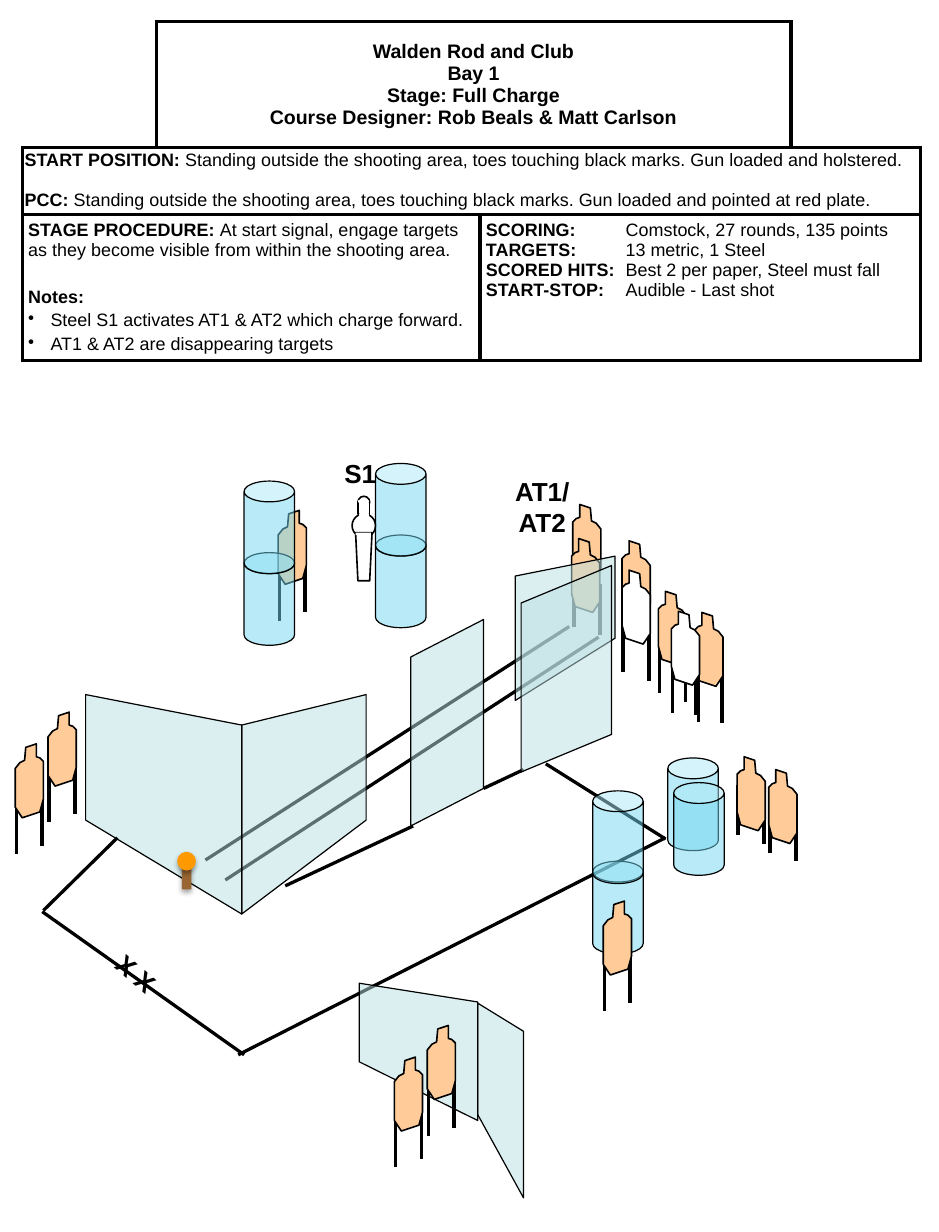
from dataclasses import dataclass
from typing import Optional

from lxml.etree import SubElement
from pptx import Presentation
from pptx.dml.color import RGBColor
from pptx.enum.shapes import MSO_CONNECTOR, MSO_SHAPE
from pptx.enum.text import MSO_ANCHOR, PP_ALIGN
from pptx.oxml.ns import qn
from pptx.util import Cm, Pt


@dataclass(frozen=True)
class Theme:
    font: str = "Arial"
    black: str = "000000"
    white: str = "FFFFFF"
    tan: str = "FFCC99"
    glass: str = "BBE0E3"
    drum: str = "73D9F1"
    post: str = "996633"
    plate: str = "FF9900"
    head: float = 12
    body: float = 11
    label: float = 16
    thin: float = 0.75
    edge: float = 1
    rail: float = 2
    thick: float = 2.25


@dataclass(frozen=True)
class Rail:
    start: tuple
    end: tuple


@dataclass(frozen=True)
class Wall:
    points: list


@dataclass(frozen=True)
class Target:
    x: float
    y: float
    flip: bool = False
    fill: str = Theme.tan
    drop: Optional[float] = 0.51  # top of the long leg; None means no legs


@dataclass(frozen=True)
class Drum:
    x: float
    y: float


@dataclass(frozen=True)
class Part:
    kind: MSO_SHAPE
    box: tuple
    fill: str
    line: Optional[str] = None


@dataclass(frozen=True)
class Label:
    text: str
    box: tuple
    align: PP_ALIGN = PP_ALIGN.CENTER
    turn: float = 0


T = Theme()
BODY = [(0.15, 0.03), (0.06, 0), (0.06, 0.11), (0.03, 0.12), (0, 0.15), (0, 0.47), (0.03, 0.58),
        (0.18, 0.63), (0.24, 0.54), (0.24, 0.21), (0.2, 0.16), (0.16, 0.14)]


def inch(value: float) -> int:
    return Cm(value * 2.54)


def paint(shape, fill: str, line: Optional[str] = T.black, width: float = T.edge, alpha: int = 100) -> None:
    shape.shadow.inherit = False
    shape.fill.solid()
    shape.fill.fore_color.rgb = RGBColor.from_string(fill)
    if alpha < 100:
        tint = shape._element.spPr.find(qn("a:solidFill"))[0]
        SubElement(tint, qn("a:alpha"), val=str(alpha * 1000))
    if line:
        shape.line.color.rgb = RGBColor.from_string(line)
        shape.line.width = Pt(width)
    else:
        shape.line.fill.background()


def draw_line(shapes, start: tuple, end: tuple, width: float) -> None:
    line = shapes.add_connector(MSO_CONNECTOR.STRAIGHT, *map(inch, start + end))
    line.line.color.rgb = RGBColor.from_string(T.black)
    line.line.width = Pt(width)
    SubElement(line._element.spPr, qn("a:effectLst"))


def draw_path(shapes, points: list):
    spots = [(inch(x), inch(y)) for x, y in points]
    pen = shapes.build_freeform(*spots[0])
    pen.add_line_segments(spots[1:], close=True)
    return pen.convert_to_shape()


def draw_rail(shapes, rail: Rail) -> None:
    draw_line(shapes, rail.start, rail.end, T.rail)


def draw_wall(shapes, wall: Wall) -> None:
    paint(draw_path(shapes, wall.points), T.glass, width=T.thin, alpha=50)


def draw_target(shapes, item: Target) -> None:
    def place(x: float, y: float) -> tuple:
        return item.x + (0.24 - x if item.flip else x), item.y + y

    group = shapes.add_group_shape().shapes
    if item.drop is not None:
        for x, top in ((0.23, item.drop), (0.01, item.drop - 0.07)):
            draw_line(group, place(x, top), place(x, top + 0.43), T.thick)
    paint(draw_path(group, [place(*p) for p in BODY]), item.fill)


def draw_drum(shapes, drum: Drum) -> None:
    can = shapes.add_shape(MSO_SHAPE.CAN, *map(inch, (drum.x, drum.y, 0.43, 0.79)))
    can.adjustments[0] = 0.413
    paint(can, T.drum, width=T.thin, alpha=50)


def draw_part(shapes, part: Part):
    shape = shapes.add_shape(part.kind, *map(inch, part.box))
    paint(shape, part.fill, part.line)
    return shape


def draw_steel(shapes) -> None:
    group = shapes.add_group_shape().shapes
    oval, rect = MSO_SHAPE.OVAL, MSO_SHAPE.RECTANGLE
    for box in ((3.05, 4.23, 0.1, 0.1), (3, 4.38, 0.2, 0.2)):
        draw_part(group, Part(oval, box, T.white, T.black))
    paint(draw_path(group, [(3.03, 4.54), (3.17, 4.54), (3.15, 4.95), (3.05, 4.95)]), T.white)
    for box, line in (((3.05, 4.28, 0.1, 0.1), T.black), ((3.03, 4.54, 0.13, 0.02), None),
                      ((3.07, 4.38, 0.07, 0.02), T.white), ((3.06, 4.27, 0.08, 0.01), T.white)):
        draw_part(group, Part(rect, box, T.white, line))


def draw_plate(shapes) -> None:
    group = shapes.add_group_shape().shapes
    for part in (Part(MSO_SHAPE.RECTANGLE, (1.55, 7.36, 0.08, 0.22), T.post),
                 Part(MSO_SHAPE.OVAL, (1.51, 7.26, 0.16, 0.16), T.plate)):
        spot = draw_part(group, part)._element.spPr.find(qn("a:effectLst"))
        cast = SubElement(spot, qn("a:outerShdw"), blurRad=str(Pt(3.1)), dist=str(Pt(1.8)),
                          dir="5400000", rotWithShape="0")
        SubElement(SubElement(cast, qn("a:srgbClr"), val=T.black), qn("a:alpha"), val="35000")


def add_run(para, text: str, size: float, bold: bool) -> None:
    run = para.add_run()
    run.text = text
    run.font.name, run.font.size, run.font.bold = T.font, Pt(size), bold
    run.font.color.rgb = RGBColor.from_string(T.black)


def draw_label(shapes, label: Label) -> None:
    box = shapes.add_textbox(*map(inch, label.box))
    box.rotation = label.turn
    box.text_frame.word_wrap = True
    para = box.text_frame.paragraphs[0]
    para.alignment = label.align
    add_run(para, label.text, T.label, True)


def fill_cell(cell, rows: list, gaps: list, pad: tuple = (0.05, 0.05)) -> list:
    """Write (bold, plain) rows into a cell, with a gap in points before each."""
    cell.margin_left = cell.margin_right = inch(pad[0])
    cell.margin_top = cell.margin_bottom = inch(pad[1])
    paras = [cell.text_frame.paragraphs[0]]
    paras += [cell.text_frame.add_paragraph() for _ in rows[1:]]
    for para, (bold, plain), gap in zip(paras, rows, gaps):
        if gap:
            para.space_before = Pt(gap)
        for text, strong in ((bold, True), (plain, False)):
            if text:
                add_run(para, text, T.body, strong)
    return paras


def draw_table(shapes) -> None:
    table = shapes.add_table(3, 4, *map(inch, (0.19, 0.18, 7.65, 2.89))).table
    table.first_row = table.horz_banding = False
    for col, width in zip(table.columns, (1.14, 2.76, 2.65, 1.1)):
        col.width = inch(width)
    for row, height in zip(table.rows, (1.08, 0.57, 1.24)):
        row.height = inch(height)
    # Borders come before the fill in each cell
    for r in range(3):
        for c in range(4):
            cell = table.cell(r, c)
            for side in {(0, 0): "RB", (0, 3): "LB"}.get((r, c), "LRTB"):
                line = SubElement(cell._tc.get_or_add_tcPr(), qn("a:ln" + side), w=str(Pt(T.thick)))
                SubElement(SubElement(line, qn("a:solidFill")), qn("a:srgbClr"), val=T.black)
            cell.fill.solid()
            cell.fill.fore_color.rgb = RGBColor.from_string(T.white)
    for start, end in (((0, 1), (0, 2)), ((1, 0), (1, 3)), ((2, 0), (2, 1)), ((2, 2), (2, 3))):
        table.cell(*start).merge(table.cell(*end))
    # Heading
    head = table.cell(0, 1)
    head.vertical_anchor = MSO_ANCHOR.MIDDLE
    para = head.text_frame.paragraphs[0]
    para.alignment = PP_ALIGN.CENTER
    for i, text in enumerate(("Walden Rod and Club", "Bay 1", "Stage: Full Charge",
                              "Course Designer: Rob Beals & Matt Carlson")):
        if i:
            para.add_line_break()
        add_run(para, text, T.head, True)
    # Start position
    stand = "Standing outside the shooting area, toes touching black marks. Gun loaded and "
    for para in fill_cell(table.cell(1, 0), [("START POSITION:", " " + stand + "holstered."),
                          ("PCC: ", stand + "pointed at red plate.")], [0, 13], (0.02, 0.04)):
        para.line_spacing = 0.9
    # Procedure and notes
    paras = fill_cell(table.cell(2, 0), [
        ("STAGE PROCEDURE: ", "At start signal, engage targets as they become visible from within the shooting area."),
        ("Notes:", ""), ("", "Steel S1 activates AT1 & AT2 which charge forward."),
        ("", "AT1 & AT2 are disappearing targets")], [0, 16.2, 2.2, 2.2])
    for para in paras[2:]:
        props = para._p.get_or_add_pPr()
        props.set("marL", str(inch(0.19)))
        props.set("indent", str(-inch(0.19)))
        SubElement(props, qn("a:buChar"), char="•")
    # Scoring
    for para in fill_cell(table.cell(2, 2), [
            ("SCORING:", "\tComstock, 27 rounds, 135 points"), ("TARGETS:", "\t13 metric, 1 Steel"),
            ("SCORED HITS:", "\tBest 2 per paper, Steel must fall"),
            ("START-STOP:", "\tAudible - Last shot")], [0] * 4):
        tabs = SubElement(para._p.get_or_add_pPr(), qn("a:tabLst"))
        SubElement(tabs, qn("a:tab"), pos=str(inch(1.19)), algn="l")


# Stage layout, back to front
SCENE = [
    Rail((5.67, 7.14), (2.03, 8.99)),
    Target(4.88, 4.3, drop=0.68), Target(4.87, 4.59, drop=None),
    Rail((1.75, 7.33), (4.85, 5.34)), Rail((1.92, 7.5), (5.1, 5.43)),
    Wall([(3.12, 6.99), (2.06, 7.79), (2.06, 6.18), (3.12, 5.92)]),
    Wall([(0.73, 6.99), (2.06, 7.79), (2.06, 6.18), (0.73, 5.92)]),
    Wall([(5.24, 5.44), (4.39, 5.97), (4.39, 4.91), (5.24, 4.74)]),
    Target(0.13, 6.34, True), Target(0.41, 6.07, True),
    Wall([(3.06, 9.05), (4.07, 9.55), (4.07, 8.54), (3.06, 8.38)]),
    Target(5.3, 4.61), Target(5.3, 4.86, fill=T.white),
    Rail((0.36, 7.77), (2.08, 8.99)),
    Wall([(3.5, 5.6), (4.12, 5.28), (4.12, 6.72), (3.5, 7.04)]),
    Rail((1, 7.14), (0.37, 7.76)), Rail((4.65, 6.51), (5.67, 7.15)),
    Rail((4.46, 6.56), (4.12, 6.72)), Rail((3.52, 7.04), (2.43, 7.55)),
    Target(5.61, 5.04), Target(3.36, 9.01, True), Target(3.64, 8.74, True), Target(2.37, 4.35, True),
    Drum(2.08, 4.71), Drum(2.08, 4.1),
    Target(5.92, 5.22), Target(5.72, 5.21, fill=T.white),
    Target(6.28, 6.45, drop=0.31), Target(6.55, 6.56, drop=0.35),
    Drum(5.05, 7.34), Drum(5.05, 6.74), Target(5.14, 7.68, True),
    Label("X X", (0.88, 8.12, 0.58, 0.37), PP_ALIGN.LEFT, 40.6),
    Label("AT1/AT2", (4.26, 4, 0.72, 0.64)), Label("S1", (2.71, 3.85, 0.72, 0.37)),
    Drum(3.2, 4.56), Drum(3.2, 3.95),
    Wall([(4.44, 5.14), (5.21, 4.82), (5.21, 6.26), (4.44, 6.58)]),
    Drum(5.69, 6.46), Drum(5.74, 6.67),
    Wall([(4.07, 9.5), (4.46, 10.21), (4.46, 8.79), (4.07, 8.55)]),
]
DRAW = {Rail: draw_rail, Wall: draw_wall, Target: draw_target, Drum: draw_drum, Label: draw_label}


def main() -> None:
    deck = Presentation()
    deck.slide_width, deck.slide_height = inch(8), inch(10.5)
    shapes = deck.slides.add_slide(deck.slide_layouts[6]).shapes
    draw_table(shapes)
    draw_steel(shapes)
    for item in SCENE:
        DRAW[type(item)](shapes, item)
    draw_plate(shapes)
    deck.save("out.pptx")


if __name__ == "__main__":
    main()
